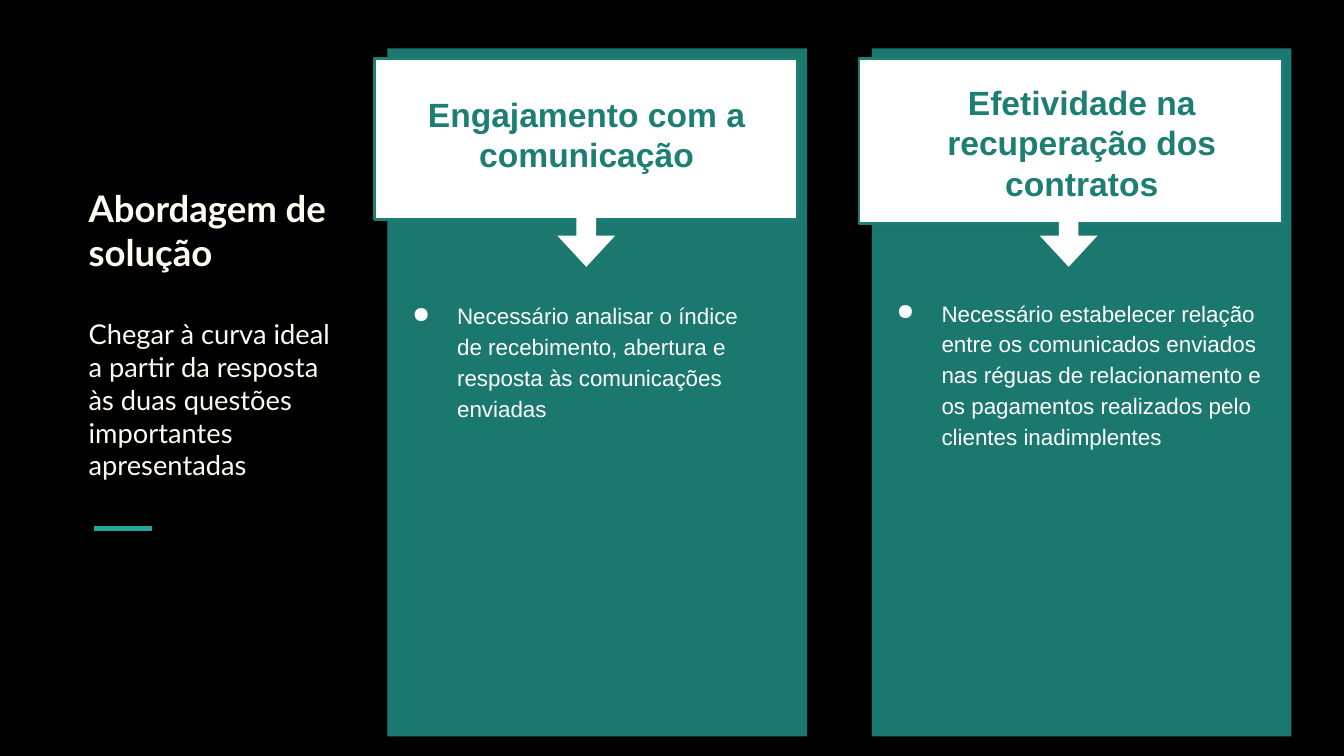
from dataclasses import dataclass

from lxml import etree
from pptx import Presentation
from pptx.dml.color import RGBColor
from pptx.enum.shapes import MSO_CONNECTOR, MSO_SHAPE
from pptx.enum.text import MSO_ANCHOR, PP_ALIGN
from pptx.oxml.ns import qn
from pptx.util import Pt

RECTANGLE = MSO_SHAPE.RECTANGLE
DOWN_ARROW = MSO_SHAPE.DOWN_ARROW
STRAIGHT = MSO_CONNECTOR.STRAIGHT
LEFT, CENTER = PP_ALIGN.LEFT, PP_ALIGN.CENTER
TOP, BOTTOM = MSO_ANCHOR.TOP, MSO_ANCHOR.BOTTOM

BLACK = RGBColor(0x00, 0x00, 0x00)
WHITE = RGBColor(0xFF, 0xFF, 0xFF)
CREAM = RGBColor(0xFF, 0xFB, 0xF0)
PANEL_GREEN = RGBColor(0x1B, 0x78, 0x6E)
HEADING_GREEN = RGBColor(0x1D, 0x7E, 0x74)
ACCENT_TEAL = RGBColor(0x26, 0xA6, 0x9A)

INSET = 7.2
PANEL_TOP, PANEL_WIDTH, PANEL_HEIGHT = 25.9, 224.8, 368.6
HEADER_TOP, HEADER_WIDTH, HEADER_SHIFT = 31.2, 226.7, -6.9
ARROW_TOP, ARROW_WIDTH, ARROW_HEIGHT = 112.6, 31, 30.4
BODY_SHIFT = -5.8


@dataclass(frozen=True)
class Frame:
    left: float
    top: float
    width: float
    height: float


@dataclass(frozen=True)
class Style:
    font: str
    size: float
    color: RGBColor
    bold: bool = False


@dataclass(frozen=True)
class Card:
    left: float
    header_height: float
    heading: str
    heading_frame: Frame
    arrow_left: float
    body: str
    body_top: float
    body_width: float
    body_height: float


TITLE = Style("Lato", 19.6, CREAM, True)
SUBTITLE = Style("Lato", 14.6, CREAM)
HEADING = Style("Arial", 18, HEADING_GREEN, True)
BODY = Style("Arial", 12, WHITE)

CARDS = (
    Card(207.6, 86.4, "Engajamento com a comunicação",
         Frame(213.8, 43.2, 200.9, 61.2), 298.6,
         "Necessário analisar o índice de recebimento, abertura e resposta "
         "às comunicações enviadas", 152.6, 200.9, 141.8),
    Card(467.1, 88.6, "Efetividade na recuperação dos contratos",
         Frame(473, 36.7, 213.1, 54.7), 557,
         "Necessário estabelecer relação entre os comunicados enviados nas "
         "réguas de relacionamento e os pagamentos realizados pelo clientes "
         "inadimplentes", 151.2, 224.6, 190),
)


def place(frame: Frame) -> tuple:
    return Pt(frame.left), Pt(frame.top), Pt(frame.width), Pt(frame.height)


def add_block(page, kind, frame: Frame, fill: RGBColor, outline: RGBColor | None = None):
    block = page.shapes.add_shape(kind, *place(frame))
    block.shadow.inherit = False
    block.fill.solid()
    block.fill.fore_color.rgb = fill
    if outline is None:
        block.line.fill.background()
    else:
        block.line.color.rgb = outline
        block.line.width = Pt(1.5)
    return block


def add_text(page, frame: Frame, parts: list[tuple[str, Style]],
             align=LEFT, anchor=TOP, gap: float = 0) -> list:
    box = page.shapes.add_textbox(*place(frame))
    text = box.text_frame
    text.word_wrap = True
    text.vertical_anchor = anchor
    text.margin_left = text.margin_right = Pt(INSET)
    text.margin_top = text.margin_bottom = Pt(INSET)
    for index, (words, style) in enumerate(parts):
        para = text.add_paragraph() if index else text.paragraphs[0]
        para.alignment = align
        if index:
            para.space_before = Pt(gap)
        span = para.add_run()
        span.text = words
        span.font.name = style.font
        span.font.size = Pt(style.size)
        span.font.color.rgb = style.color
        span.font.bold = style.bold
    return list(text.paragraphs)


def add_bullet(para, color: RGBColor) -> None:
    para.line_spacing = 1.15
    properties = para._p.get_or_add_pPr()
    properties.set("marL", str(Pt(36)))
    properties.set("indent", str(-Pt(24)))
    bullet_color = etree.SubElement(properties, qn("a:buClr"))
    etree.SubElement(bullet_color, qn("a:srgbClr"), val=str(color))
    etree.SubElement(properties, qn("a:buChar"), char="●")


def add_card(page, card: Card) -> None:
    add_block(page, RECTANGLE, Frame(card.left, PANEL_TOP, PANEL_WIDTH, PANEL_HEIGHT),
              PANEL_GREEN)
    add_block(page, RECTANGLE,
              Frame(card.left + HEADER_SHIFT, HEADER_TOP, HEADER_WIDTH, card.header_height),
              WHITE, HEADING_GREEN)
    add_text(page, card.heading_frame, [(card.heading, HEADING)], CENTER)
    arrow = add_block(page, DOWN_ARROW,
                      Frame(card.arrow_left, ARROW_TOP, ARROW_WIDTH, ARROW_HEIGHT), WHITE)
    arrow.adjustments[0] = 0.34
    arrow.adjustments[1] = 0.55
    body_frame = Frame(card.left + BODY_SHIFT, card.body_top, card.body_width, card.body_height)
    for para in add_text(page, body_frame, [(card.body, BODY)]):
        add_bullet(para, WHITE)


def add_accent(page, left: float, right: float, top: float) -> None:
    accent = page.shapes.add_connector(STRAIGHT, Pt(left), Pt(top), Pt(right), Pt(top))
    accent.line.color.rgb = ACCENT_TEAL
    accent.line.width = Pt(2.25)
    etree.SubElement(accent._element.spPr, qn("a:effectLst"))


def main() -> None:
    deck = Presentation()
    deck.slide_width, deck.slide_height = Pt(720), Pt(405)
    page = deck.slides.add_slide(deck.slide_layouts[6])
    page.background.fill.solid()
    page.background.fill.fore_color.rgb = BLACK
    add_accent(page, 50.4, 81.4, 283.2)
    add_text(page, Frame(40.4, 167, 152, 98),
             [("Abordagem de solução", TITLE),
              ("Chegar à curva ideal a partir da resposta às duas questões "
               "importantes apresentadas", SUBTITLE)],
             anchor=BOTTOM, gap=23.5)
    for card in CARDS:
        add_card(page, card)
    deck.save("out.pptx")


if __name__ == "__main__":
    main()
